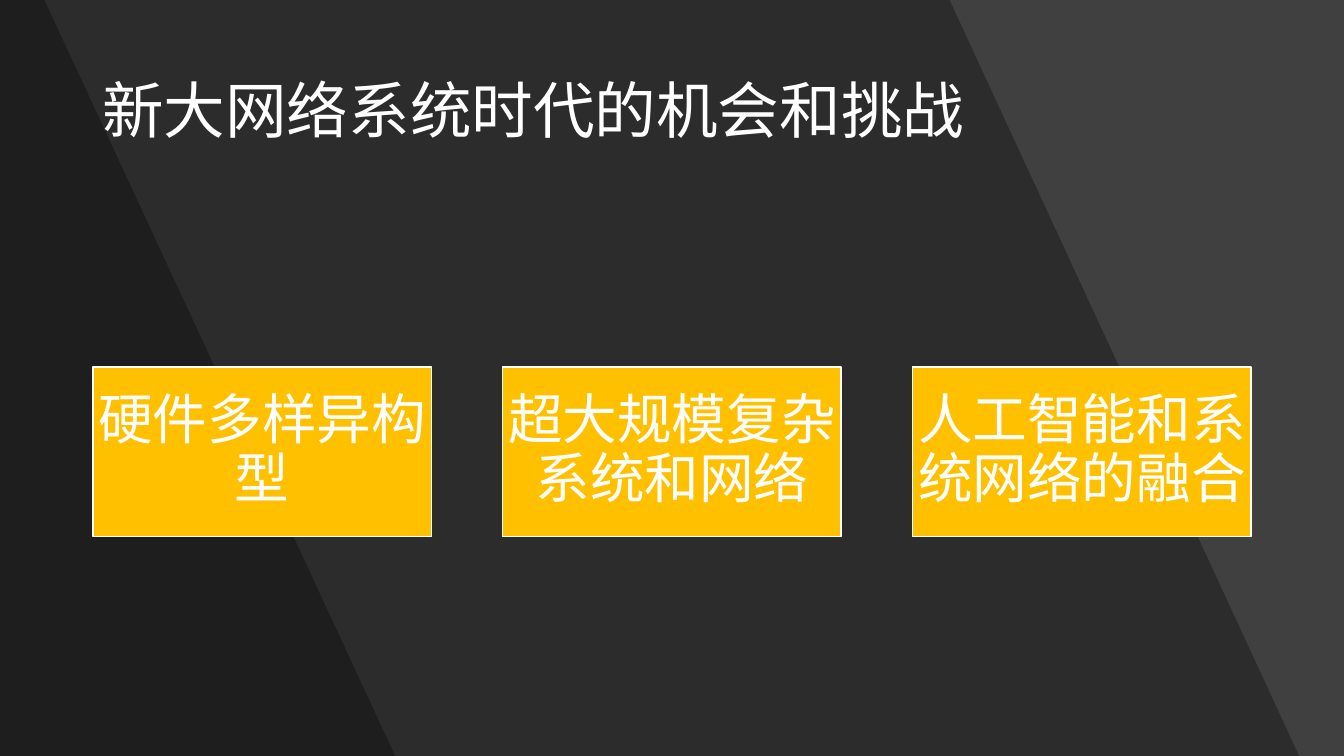
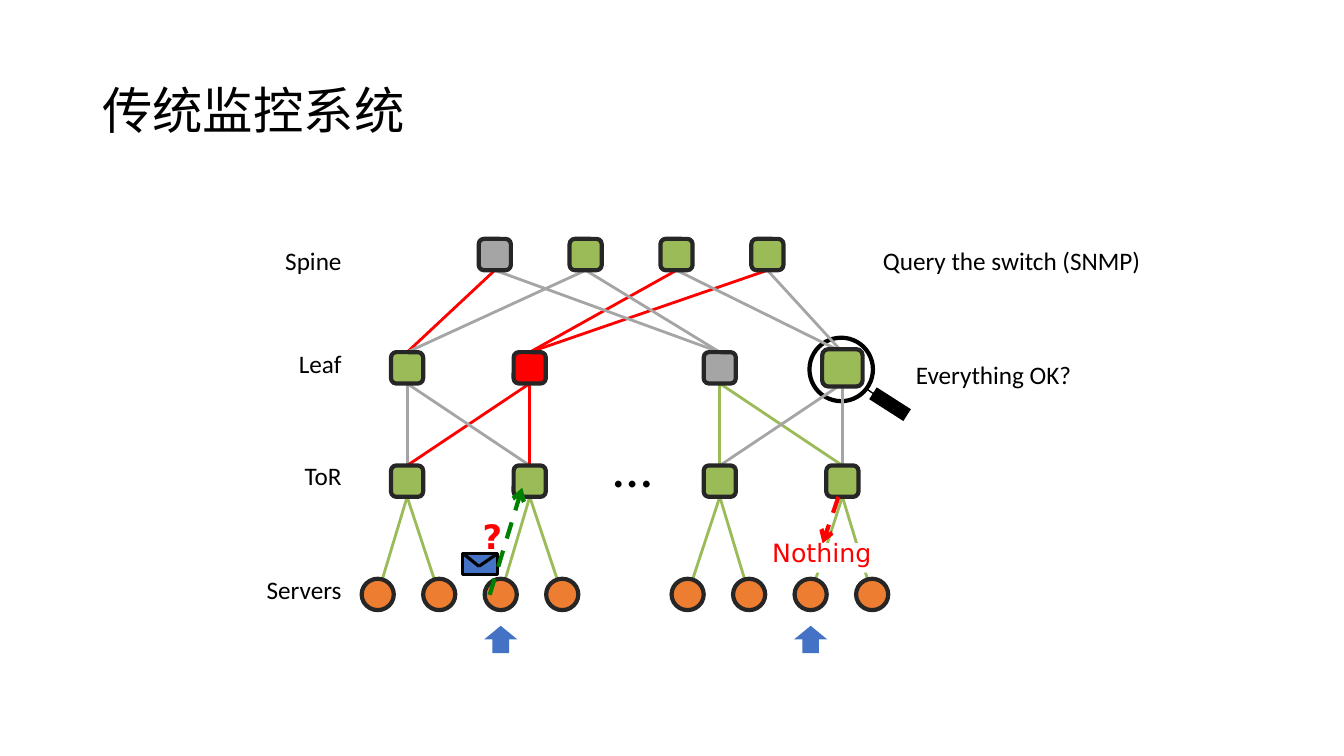
from lxml import etree
from pptx import Presentation
from pptx.dml.color import RGBColor
from pptx.enum.dml import MSO_LINE
from pptx.enum.shapes import MSO_CONNECTOR as Link, MSO_SHAPE as Kind
from pptx.enum.text import MSO_ANCHOR as Anchor, MSO_AUTO_SIZE as Fit, PP_ALIGN as Align
from pptx.oxml.ns import qn
from pptx.util import Cm, Pt

WIDTH, HEIGHT = 33.87, 19.05
BLACK, WHITE, DARK, GOLD = "000000", "FFFFFF", "404040", "FFC000"
GREEN, RED, GREY, ORANGE, BLUE = "9BBB59", "FF0000", "A5A5A5", "ED7D31", "4472C4"
EDGE, ARROW_GREEN = "262626", "008000"

TITLE_BOX = (2.32, 1.02, 29.21, 3.68)
BANDS = [(23.93, 32.74), (1.12, 9.96)]
CARDS = ["硬件多样异构型", "超大规模复杂系统和网络", "人工智能和系统网络的融合"]
CARD_LEFT, CARD_TOP, CARD_WIDTH, CARD_HEIGHT, CARD_STEP = 2.34, 9.25, 8.53, 4.27, 10.33

NODE_WIDTH, NODE_HEIGHT = 0.81, 0.79
LENS_NODE = (1.02, 0.94)
TIER_TOP, TIER_STEP = 6.02, 2.855
TIER_LABELS = [("Spine", 6.05), ("Leaf", 8.66), ("ToR", 11.48), ("Servers", 14.35)]
SPINE_X = [12.47 + 2.29 * i for i in range(4)]
SWITCH_X = [10.26, 13.35, 18.14, 21.23]
SERVER_X = [start + 1.55 * i for start in (9.52, 17.33) for i in range(4)]
TIERS = [
    (SPINE_X, [GREY, GREEN, GREEN, GREEN]),
    (SWITCH_X, [GREEN, RED, GREY, GREEN]),
    (SWITCH_X, [GREEN] * 4),
    (SERVER_X, [ORANGE] * 8),
]
TIER_LINKS = [
    [(0, 0, RED), (1, 0, GREY), (2, 1, RED), (3, 1, RED),
     (0, 2, GREY), (1, 2, GREY), (2, 3, GREY), (3, 3, GREY)],
    [(0, 0, GREY), (1, 0, RED), (0, 1, GREY), (1, 1, RED),
     (2, 2, GREEN), (2, 3, GREEN), (3, 2, GREY), (3, 3, GREY)],
    [(server // 2, server, GREEN) for server in range(8)],
]
NOTES = [
    ("Query the switch (SNMP)", (22, 6.05, 7.39, 1.02)),
    ("Everything OK?", (22.83, 8.94, 6.99, 1.02)),
]
MARKED_SERVERS = [2, 6]
LENS = (20.4, 8.51, 1.6, 1.6)
LENS_HANDLE = [((21.84, 9.8), (22.07, 9.96), 1), ((22, 9.91), (22.86, 10.46), 10)]
LETTER = (11.66, 13.94, 0.89, 0.53)
LETTER_FLAP = [(11.66, 13.94), (12.07, 14.27), (12.55, 13.94)]


def colour(value):
    return RGBColor.from_string(value)


def lengths(values):
    return [Cm(value) for value in values]


def write(frame, text, size, ink=BLACK, font="Calibri", bold=False, inset=None, spacing=None,
          align=Align.LEFT, anchor=Anchor.TOP, wrap=True):
    layout = {"word_wrap": wrap, "auto_size": Fit.NONE, "vertical_anchor": anchor}
    if inset is not None:
        for side in ("left", "top", "right", "bottom"):
            layout["margin_" + side] = Cm(inset)
    for name, value in layout.items():
        setattr(frame, name, value)
    para = frame.paragraphs[0]
    para.alignment = align
    if spacing:
        para.line_spacing = spacing
    span = para.add_run()
    span.text = text
    for name, value in {"name": font, "size": Pt(size), "bold": bold}.items():
        setattr(span.font, name, value)
    span.font.color.rgb = colour(ink)


def paint(shape, fill=None, edge=None, weight=1):
    shape.shadow.inherit = False
    if fill:
        shape.fill.solid()
        shape.fill.fore_color.rgb = colour(fill)
    else:
        shape.fill.background()
    if edge:
        shape.line.color.rgb = colour(edge)
        shape.line.width = Pt(weight)
    else:
        shape.line.fill.background()


def add_box(page, kind, place, fill=None, edge=None, weight=1):
    box = page.shapes.add_shape(kind, *lengths(place))
    paint(box, fill, edge, weight)
    return box


def add_text(page, place, text, size, **style):
    box = page.shapes.add_textbox(*lengths(place))
    write(box.text_frame, text, size, **style)


def add_line(page, start, end, ink, weight, arrow=False):
    line = page.shapes.add_connector(Link.STRAIGHT, *lengths((*start, *end)))
    line.line.color.rgb = colour(ink)
    line.line.width = Pt(weight)
    if arrow:
        line.line.dash_style = MSO_LINE.DASH
        etree.SubElement(line.line._get_or_add_ln(), qn("a:tailEnd"), type="arrow")
    etree.SubElement(line._element.spPr, qn("a:effectLst"))


def add_page(deck, back, title, size, ink):
    page = deck.slides.add_slide(deck.slide_layouts[5])
    page.background.fill.solid()
    page.background.fill.fore_color.rgb = colour(back)
    box = page.shapes.title
    for name, value in zip(("left", "top", "width", "height"), lengths(TITLE_BOX)):
        setattr(box, name, value)
    write(box.text_frame, title, size, ink=ink, spacing=0.9, anchor=Anchor.MIDDLE)
    return page


def add_band(page, top_right, bottom_right):
    builder = page.shapes.build_freeform(0, 0, scale=1.0)
    corners = [(top_right, 0), (bottom_right, HEIGHT), (0, HEIGHT)]
    builder.add_line_segments([lengths(corner) for corner in corners], close=True)
    band = builder.convert_to_shape()
    paint(band, BLACK)
    ink = band._element.spPr.find(qn("a:solidFill"))[0]
    etree.SubElement(ink, qn("a:alpha"), val="30000")
    tree = page.shapes._spTree
    tree.remove(band._element)
    tree.insert_element_before(band._element, "p:sp")
    title = page.shapes.title._element
    title.addprevious(band._element)


def build_challenges(deck):
    page = add_page(deck, DARK, "新大网络系统时代的机会和挑战", 44, WHITE)
    for band in BANDS:
        add_band(page, *band)
    for i, text in enumerate(CARDS):
        place = (CARD_LEFT + i * CARD_STEP, CARD_TOP, CARD_WIDTH, CARD_HEIGHT)
        card = add_box(page, Kind.RECTANGLE, place, GOLD, WHITE)
        write(card.text_frame, text, 39, ink=WHITE, inset=0.08, spacing=0.9,
              align=Align.CENTER, anchor=Anchor.MIDDLE)


def add_network(page):
    tops = [TIER_TOP + TIER_STEP * i for i in range(len(TIERS))]
    for tier, links in enumerate(TIER_LINKS):
        target = tops[tier + 1] + (NODE_HEIGHT / 2 if tier == 2 else 0)
        for upper, lower, ink in links:
            start = (TIERS[tier][0][upper], tops[tier] + NODE_HEIGHT)
            add_line(page, start, (TIERS[tier + 1][0][lower], target), ink, 2)
    for tier, (centres, fills) in enumerate(TIERS):
        kind = Kind.FLOWCHART_CONNECTOR if tier == 3 else Kind.ROUNDED_RECTANGLE
        for i, (x, fill) in enumerate(zip(centres, fills)):
            width, height = LENS_NODE if (tier, i) == (1, 3) else (NODE_WIDTH, NODE_HEIGHT)
            top = tops[tier] + (NODE_HEIGHT - height) / 2
            add_box(page, kind, (x - width / 2, top, width, height), fill, EDGE, 3)


def build_monitoring(deck):
    page = add_page(deck, WHITE, "传统监控系统", 36, BLACK)
    for text, top in TIER_LABELS:
        add_text(page, (6.32, top, 2.54, 1.02), text, 18, align=Align.RIGHT)
    for text, place in NOTES:
        add_text(page, place, text, 18)
    for server in MARKED_SERVERS:
        add_box(page, Kind.UP_ARROW, (SERVER_X[server] - 0.42, 15.77, 0.84, 0.69), BLUE)

    add_box(page, Kind.OVAL, LENS, edge=BLACK, weight=3)
    for start, end, weight in LENS_HANDLE:
        add_line(page, start, end, BLACK, weight)
    add_network(page)

    centred = {"align": Align.CENTER, "wrap": False}
    add_text(page, (14.99, 11.48, 1.93, 1.27), "…", 40, spacing=0.5, **centred)
    add_text(page, (11.89, 13.23, 1.04, 0.89), "?", 24, ink=RED, font="DejaVu Sans",
             bold=True, spacing=0.6, **centred)
    add_box(page, Kind.RECTANGLE, LETTER, BLUE, BLACK, 2.25)
    for start, end in zip(LETTER_FLAP, LETTER_FLAP[1:]):
        add_line(page, start, end, BLACK, 2.25)
    add_line(page, (12.34, 14.99), (13.16, 12.29), ARROW_GREEN, 3, arrow=True)
    add_line(page, (21.13, 12.52), (20.73, 13.69), RED, 3, arrow=True)
    reply = add_box(page, Kind.RECTANGLE, (19.2, 13.69, 3.02, 0.74), WHITE)
    write(reply.text_frame, "Nothing", 18, ink=RED, font="DejaVu Sans", spacing=0.6, **centred)


def main():
    deck = Presentation()
    deck.slide_width, deck.slide_height = lengths((WIDTH, HEIGHT))
    build_challenges(deck)
    build_monitoring(deck)
    deck.save("out.pptx")


if __name__ == "__main__":
    main()
